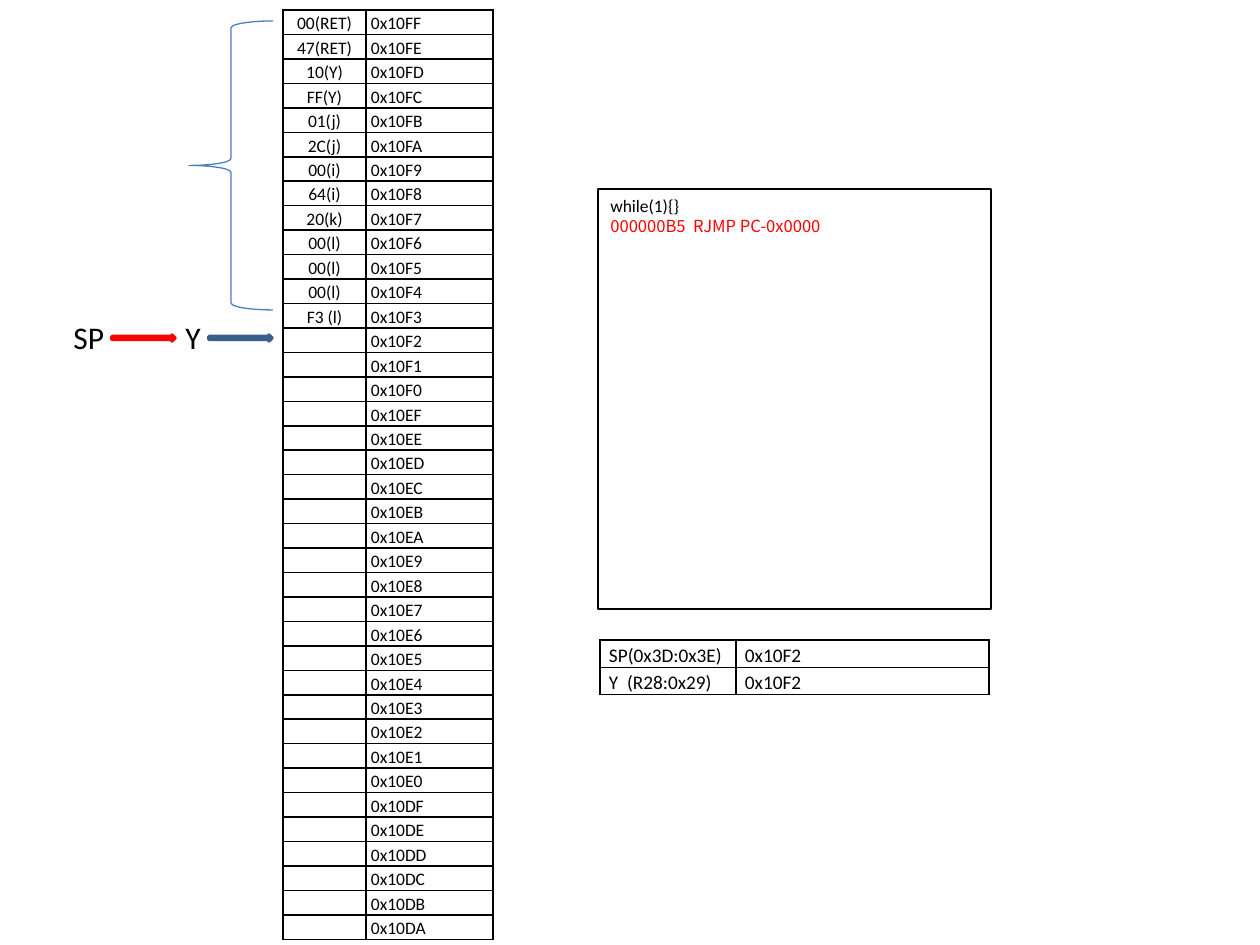
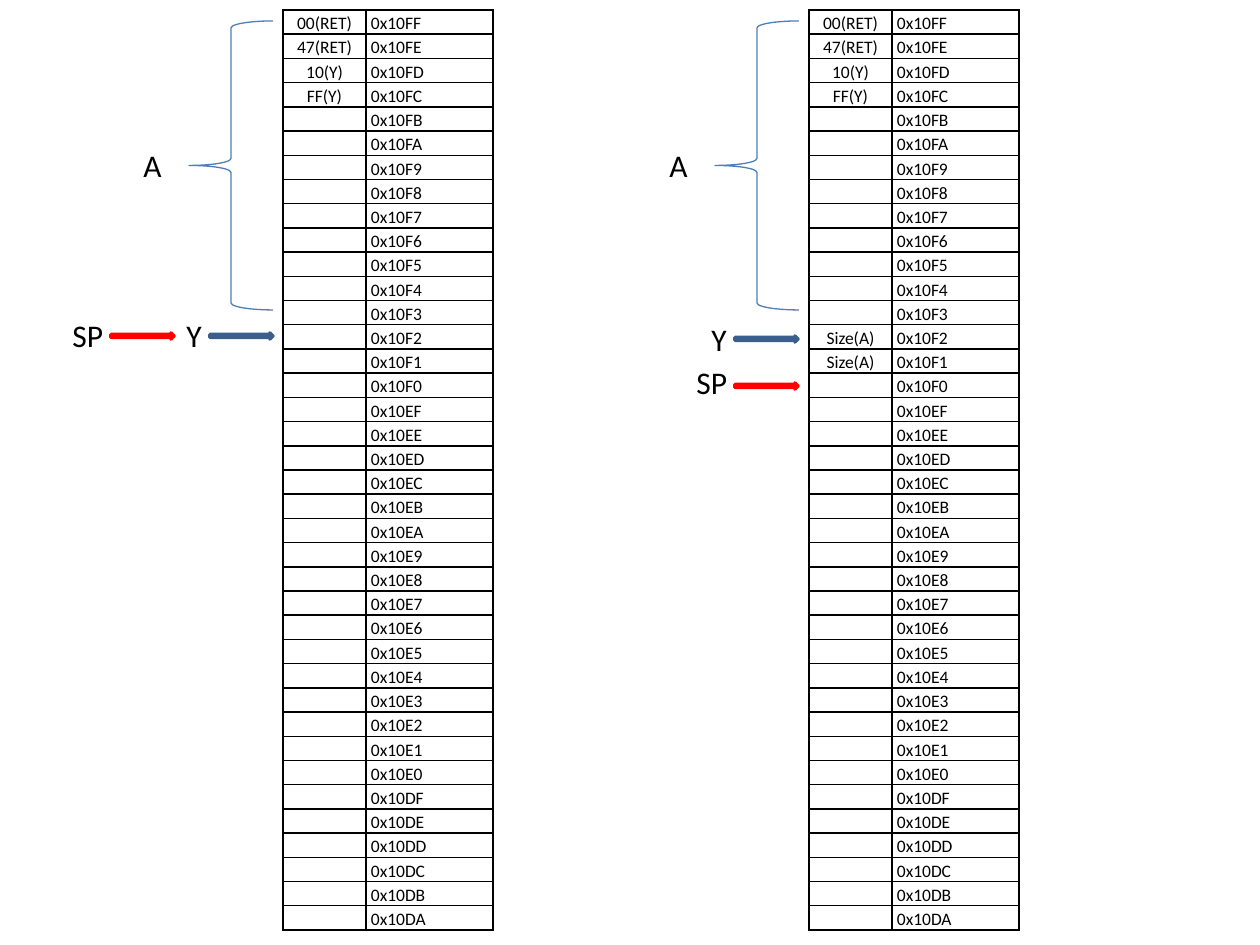
from dataclasses import dataclass

from lxml.etree import SubElement
from pptx import Presentation
from pptx.dml.color import RGBColor
from pptx.enum.shapes import MSO_SHAPE as Preset
from pptx.enum.text import MSO_ANCHOR as Anchor, MSO_AUTO_SIZE as AutoSize, PP_ALIGN as Align
from pptx.oxml.ns import qn
from pptx.util import Emu, Pt


@dataclass(frozen=True)
class Theme:
    black: str = "000000"
    white: str = "FFFFFF"
    red: str = "FF0000"
    arrow_fill: str = "4F81BD"
    arrow_edge: str = "3A5F8C"
    brace_edge: str = "4B7EBC"
    font: str = "Calibri"
    code_font: str = "Noto Sans CJK SC"
    memory_size: float = 10
    register_size: float = 11
    label_size: float = 18
    instruction_size: float = 9.5
    cell_spacing: float = 1.15
    thin: float = 0.75
    border: float = 1
    thick: float = 2


THEME = Theme()
PX_PER_INCH = 126
TOP_ADDRESS, ADDRESS_COUNT = 0x10FF, 38
LEFT_STACK, RIGHT_STACK = 283, 809
SAVED_FRAME = ["00(RET)", "47(RET)", "10(Y)", "FF(Y)"]
LOCALS = ["01(j)", "2C(j)", "00(i)", "64(i)", "20(k)", "00(l)", "00(l)", "00(l)", "F3 (l)"]
# Label box of each pointer: offset from its arrow, and width
POINTER_LABELS = {"Y": (-36, 31), "SP": (-51, 57)}
POINTER_EDGES = {"Y": THEME.arrow_edge, "SP": THEME.red}


def px(length):
    return Emu(round(length * 914400 / PX_PER_INCH))


def box(*lengths):
    return [px(length) for length in lengths]


def write(paragraph, text, size, color=THEME.black, font=THEME.font):
    run = paragraph.add_run()
    run.text = text
    for name, value in {"size": Pt(size), "name": font}.items():
        setattr(run.font, name, value)
    run.font.color.rgb = RGBColor.from_string(color)
    if font != THEME.font:
        SubElement(run.font._element, qn("a:ea"), typeface=font)


def add_outlined(shapes, preset, bounds, edge, width, fill=None):
    shape = shapes.add_shape(preset, *box(*bounds))
    shape.shadow.inherit = False
    shape.line.color.rgb = RGBColor.from_string(edge)
    shape.line.width = Pt(width)
    if fill:
        shape.fill.solid()
        shape.fill.fore_color.rgb = RGBColor.from_string(fill)
    else:
        shape.fill.background()
    return shape


def add_label(shapes, text, left, top, width):
    frame = shapes.add_textbox(*box(left, top, width, 50)).text_frame
    frame.word_wrap = True
    frame.auto_size = AutoSize.SHAPE_TO_FIT_TEXT
    write(frame.paragraphs[0], text, THEME.label_size)


def add_borders(cell):
    properties = cell._tc.get_or_add_tcPr()
    for side in ("lnL", "lnR", "lnT", "lnB"):
        line = SubElement(properties, qn(f"a:{side}"), w=str(Pt(THEME.border)))
        fill = SubElement(line, qn("a:solidFill"))
        SubElement(fill, qn("a:srgbClr"), val=THEME.black)


def fill_cell(cell, text, size, inset, align):
    margins = {"margin_left": px(inset), "margin_right": px(inset),
               "margin_top": 0, "margin_bottom": 0}
    for name, value in margins.items():
        setattr(cell, name, value)
    add_borders(cell)
    cell.fill.background()
    paragraph = cell.text_frame.paragraphs[0]
    paragraph.alignment = align
    paragraph.line_spacing = THEME.cell_spacing
    if text:
        write(paragraph, text, size)
    else:
        # Keeps an empty cell as low as its neighbours
        SubElement(paragraph._p, qn("a:endParaRPr"), sz=str(size * 100))


def add_grid(slide, left, top, widths, row_height, rows, size, inset, aligns):
    frame = slide.shapes.add_table(len(rows), len(widths),
                                   *box(left, top, sum(widths), row_height * len(rows)))
    table = frame.table
    table.first_row = table.horz_banding = False
    for column, width in zip(table.columns, widths):
        column.width = px(width)
    for row, texts in zip(table.rows, rows):
        row.height = px(row_height)
        for cell, text, align in zip(row.cells, texts, aligns):
            fill_cell(cell, text, size, inset, align)


def add_stack(slide, left, contents):
    """Memory column from the top address down, with the brace over its upper part."""
    rows = [(contents[i] if i < len(contents) else "", f"0x{TOP_ADDRESS - i:04X}")
            for i in range(ADDRESS_COUNT)]
    add_grid(slide, left, 10, (83, 127), 24, rows, THEME.memory_size, 5,
             (Align.CENTER, Align.LEFT))
    add_outlined(slide.shapes, Preset.LEFT_BRACE, (left - 94, 21, 84, 289),
                 THEME.brace_edge, THEME.thin)


def add_pointer(slide, name, left, top, rise=23):
    """Named arrow; rise is how far the label starts above it."""
    shapes = slide.shapes.add_group_shape().shapes
    add_outlined(shapes, Preset.RIGHT_ARROW, (left, top, 63, 6),
                 POINTER_EDGES[name], THEME.thick, THEME.arrow_fill)
    offset, width = POINTER_LABELS[name]
    add_label(shapes, name, left + offset, top - rise, width)


def add_code_panel(slide):
    panel = add_outlined(slide.shapes, Preset.RECTANGLE, (598, 189, 393, 420),
                         THEME.black, THEME.thin, THEME.white)
    frame = panel.text_frame
    frame.word_wrap = True
    frame.vertical_anchor = Anchor.TOP
    statement, instruction = frame.paragraphs[0], frame.add_paragraph()
    statement.alignment = instruction.alignment = Align.LEFT
    write(statement, "while(1){}", THEME.memory_size)
    write(instruction, "000000B5  RJMP PC-0x0000", THEME.instruction_size,
          THEME.red, THEME.code_font)


def add_registers(slide):
    rows = [("SP(0x3D:0x3E)", "0x10F2"), ("Y  (R28:0x29)", "0x10F2")]
    add_grid(slide, 600, 640, (136, 253), 26, rows, THEME.register_size, 9,
             (Align.LEFT, Align.LEFT))


def build_loop_slide(slide):
    add_stack(slide, LEFT_STACK, SAVED_FRAME + LOCALS)
    add_registers(slide)
    add_code_panel(slide)
    add_pointer(slide, "Y", 209, 335)
    add_pointer(slide, "SP", 112, 335)


def build_allocation_slide(slide):
    gap = [""] * len(LOCALS)
    add_stack(slide, LEFT_STACK, SAVED_FRAME)
    add_pointer(slide, "Y", 210, 333)
    add_pointer(slide, "SP", 111, 333)
    add_stack(slide, RIGHT_STACK, SAVED_FRAME + gap + ["Size(A)"] * 2)
    add_pointer(slide, "Y", 735, 336, 22)
    add_pointer(slide, "SP", 735, 383, 26)
    for left in (LEFT_STACK, RIGHT_STACK):
        add_label(slide.shapes, "A", left - 152, 140, 57)


def main():
    deck = Presentation()
    deck.slide_width, deck.slide_height = box(1260, 945)
    blank = deck.slide_layouts[6]
    for build in (build_loop_slide, build_allocation_slide):
        build(deck.slides.add_slide(blank))
    deck.save("out.pptx")


if __name__ == "__main__":
    main()
